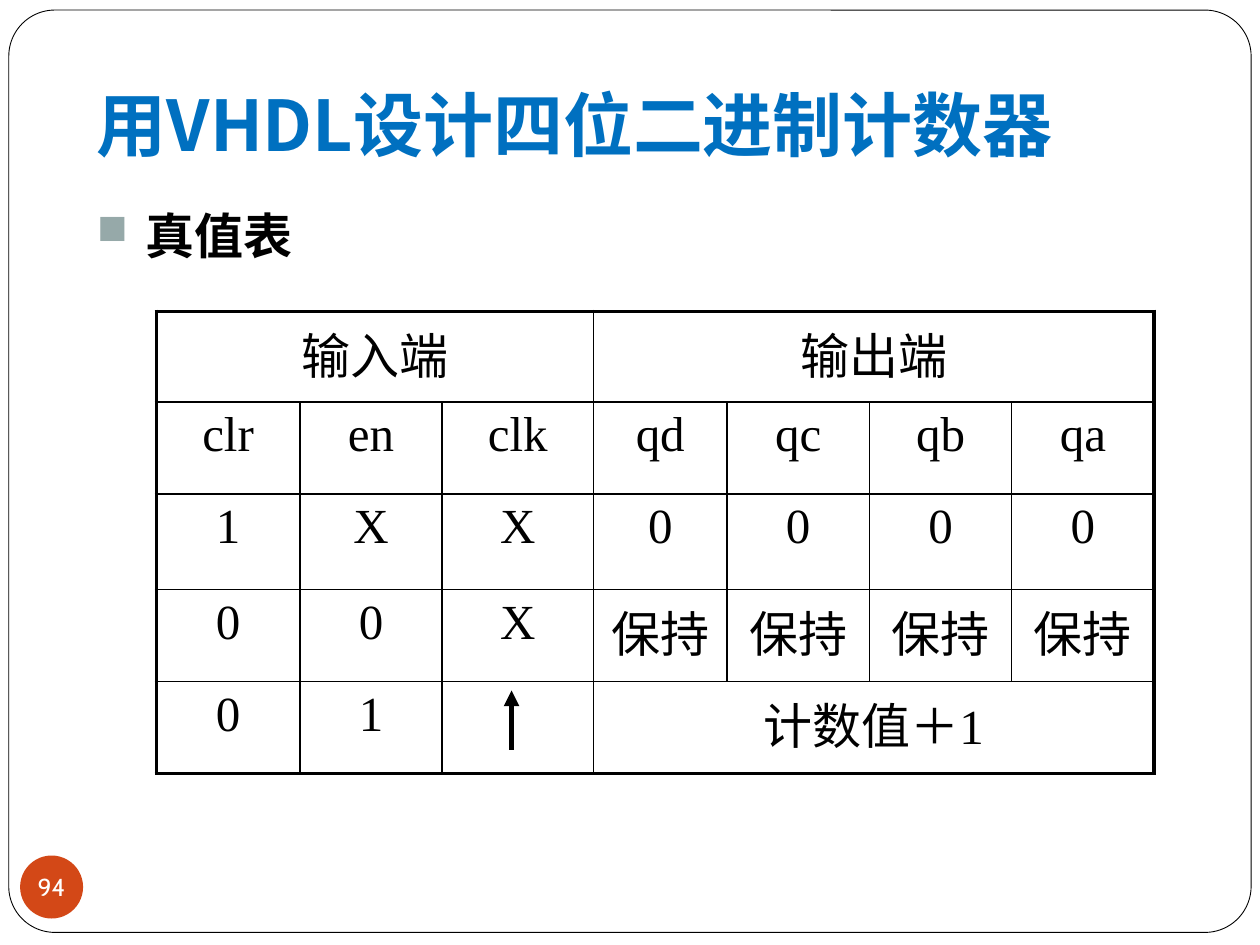
from lxml.etree import SubElement
from pptx import Presentation
from pptx.dml.color import RGBColor
from pptx.enum.shapes import MSO_CONNECTOR, MSO_SHAPE
from pptx.enum.text import MSO_ANCHOR, PP_ALIGN
from pptx.oxml.ns import qn
from pptx.util import Inches, Pt

COLORS = {
    "black": "000000",
    "white": "FFFFFF",
    "title": "0070C0",
    "bullet": "96A9A9",
    "badge": "D34817",
}
CJK_FONT = "Noto Sans CJK JP"
COLUMN_WIDTHS = [1.14, 1.13, 1.2, 1.06, 1.13, 1.13, 1.13]
ROW_HEIGHTS = [0.72, 0.73, 0.76, 0.73, 0.73]
TRUTH_TABLE = [
    ["输入端", "", "", "输出端", "", "", ""],
    ["clr", "en", "clk", "qd", "qc", "qb", "qa"],
    ["1", "X", "X", "0", "0", "0", "0"],
    ["0", "0", "X", "保持", "保持", "保持", "保持"],
    ["0", "1", "", "计数值＋1", "", "", ""],
]
MERGES = [(0, 0, 2), (0, 3, 6), (4, 3, 6)]


def color(name):
    return RGBColor.from_string(COLORS[name])


def write_text(frame, text, size=28, font=CJK_FONT, fill="black", bold=False,
               align=PP_ALIGN.LEFT):
    paragraph = frame.paragraphs[0]
    paragraph.alignment = align
    run = paragraph.add_run()
    run.text = text
    run.font.size = Pt(size)
    run.font.name = font
    run.font.bold = bold
    run.font.color.rgb = color(fill)
    SubElement(run.font._element, qn("a:ea"), typeface=CJK_FONT)
    return paragraph


def add_text_box(slide, box, text, anchor=MSO_ANCHOR.TOP, **text_format):
    shape = slide.shapes.add_textbox(*map(Inches, box))
    frame = shape.text_frame
    frame.word_wrap = True
    frame.vertical_anchor = anchor
    return frame, write_text(frame, text, **text_format)


def add_filled_shape(slide, kind, box, fill):
    shape = slide.shapes.add_shape(kind, *map(Inches, box))
    shape.shadow.inherit = False
    shape.fill.solid()
    shape.fill.fore_color.rgb = color(fill)
    shape.line.fill.background()
    return shape


def add_frame(slide):
    shape = add_filled_shape(slide, MSO_SHAPE.ROUNDED_RECTANGLE,
                             (0.07, 0.08, 9.86, 7.32), "white")
    shape.adjustments[0] = 0.05
    shape.line.color.rgb = color("black")
    shape.line.width = Pt(0.5)


def add_page_badge(slide, number):
    shape = add_filled_shape(slide, MSO_SHAPE.OVAL, (0.16, 6.79, 0.5, 0.5), "badge")
    frame = shape.text_frame
    frame.margin_left = frame.margin_right = frame.margin_top = frame.margin_bottom = 0
    frame.word_wrap = False
    frame.vertical_anchor = MSO_ANCHOR.MIDDLE
    write_text(frame, number, size=14, font="Cabin", fill="white", align=PP_ALIGN.CENTER)


def set_bullet(paragraph):
    properties = paragraph._p.get_or_add_pPr()
    indent = Inches(0.39)
    properties.set("marL", str(indent))
    properties.set("indent", str(-indent))
    bullet_color = SubElement(properties, qn("a:buClr"))
    SubElement(bullet_color, qn("a:srgbClr"), val=COLORS["bullet"])
    SubElement(properties, qn("a:buSzPct"), val="85000")
    SubElement(properties, qn("a:buChar"), char="■")


def set_borders(cell, outer_sides):
    properties = cell._tc.get_or_add_tcPr()
    for index, (side, is_outer) in enumerate(outer_sides.items()):
        width = Pt(2.25 if is_outer else 1)
        line = properties.makeelement(qn(f"a:ln{side}"), {"w": str(width)})
        fill = SubElement(line, qn("a:solidFill"))
        SubElement(fill, qn("a:srgbClr"), val=COLORS["black"])
        properties.insert(index, line)


def add_truth_table(slide):
    rows, columns = len(ROW_HEIGHTS), len(COLUMN_WIDTHS)
    table = slide.shapes.add_table(
        rows, columns, Inches(1.24), Inches(2.47),
        Inches(sum(COLUMN_WIDTHS)), Inches(sum(ROW_HEIGHTS))).table
    for column, width in zip(table.columns, COLUMN_WIDTHS):
        column.width = Inches(width)
    for row, height in zip(table.rows, ROW_HEIGHTS):
        row.height = Inches(height)
    for row, first, last in MERGES:
        table.cell(row, first).merge(table.cell(row, last))
    for row, texts in enumerate(TRUTH_TABLE):
        for column, text in enumerate(texts):
            cell = table.cell(row, column)
            cell.fill.background()
            span = cell.span_width if cell.is_merge_origin else 1
            set_borders(cell, {"L": column == 0, "R": column + span == columns,
                               "T": row == 0, "B": row == rows - 1})
            if text:
                write_text(cell.text_frame, text, font="Times New Roman",
                           align=PP_ALIGN.CENTER)


def add_rising_edge_arrow(slide):
    arrow = slide.shapes.add_connector(
        MSO_CONNECTOR.STRAIGHT, Inches(4.06), Inches(5.95), Inches(4.06), Inches(5.48))
    arrow.line.color.rgb = color("black")
    arrow.line.width = Pt(3)
    SubElement(arrow.line._get_or_add_ln(), qn("a:tailEnd"), type="triangle")
    SubElement(arrow._element.spPr, qn("a:effectLst"))


def main():
    presentation = Presentation()
    presentation.slide_width = Inches(10)
    presentation.slide_height = Inches(7.5)
    slide = presentation.slides.add_slide(presentation.slide_layouts[6])
    add_frame(slide)
    add_page_badge(slide, "94")
    title_frame, _ = add_text_box(
        slide, (0.67, 0.33, 8.92, 1.08), "用VHDL设计四位二进制计数器",
        anchor=MSO_ANCHOR.BOTTOM, size=40, fill="title", bold=True)
    title_frame.margin_bottom = Inches(0.1)
    _, heading = add_text_box(slide, (0.67, 1.58, 1.82, 0.72), "真值表", bold=True)
    set_bullet(heading)
    add_truth_table(slide)
    add_rising_edge_arrow(slide)
    presentation.save("out.pptx")


if __name__ == "__main__":
    main()
